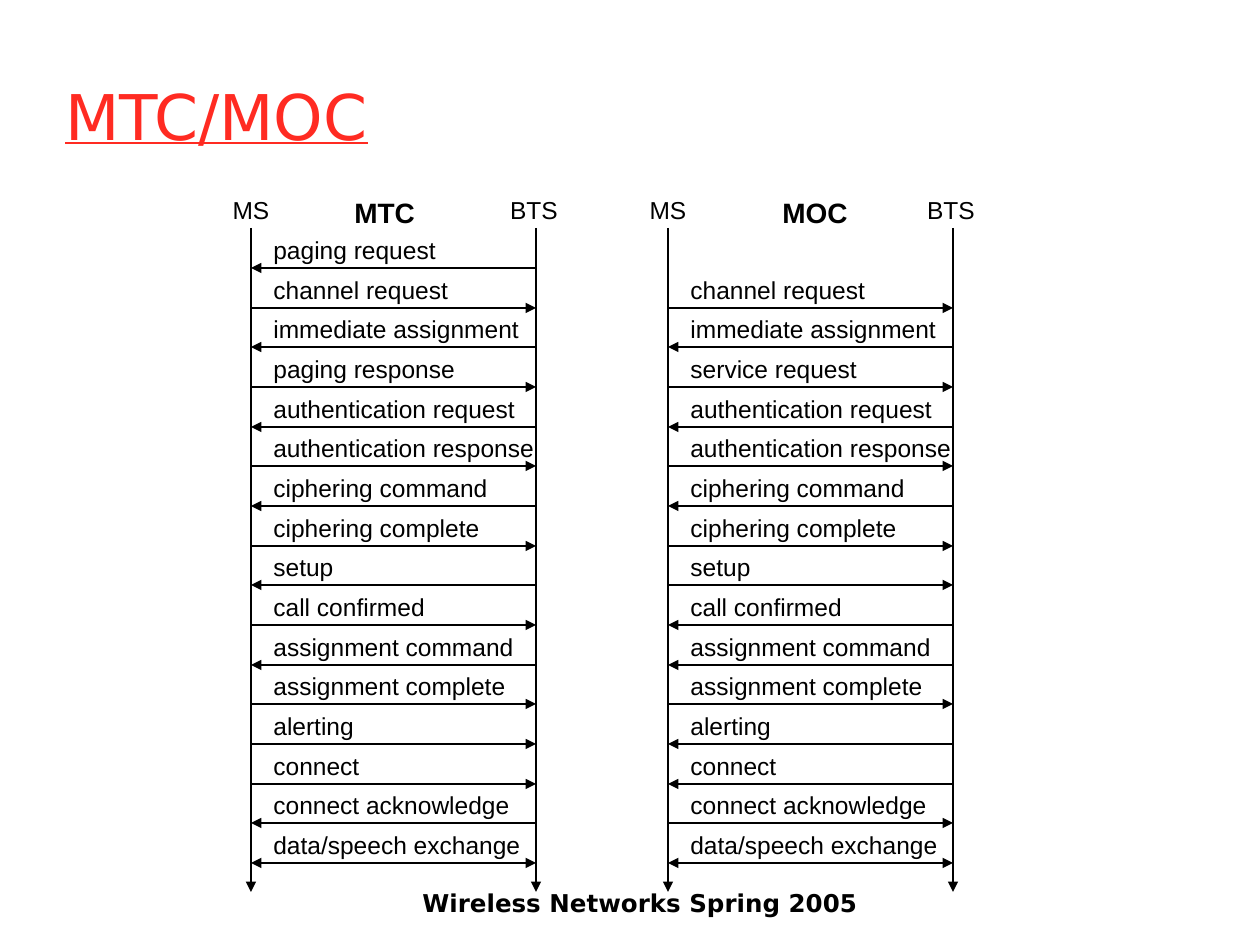
import pptx
import pptx.util
import pptx.dml.color
import pptx.enum.shapes
import pptx.enum.text
import pptx.oxml.ns
from lxml import etree

SCALE = 914400 / 126
BLACK = "000000"
LIFELINE_TOP, LIFELINE_BOTTOM = 228, 892
LIFELINE_GAP = 285
FIRST_ARROW, LAST_ARROW = 268, 863
LABEL_WIDTHS = {
    "paging request": 190,
    "channel request": 202,
    "immediate assignment": 273,
    "paging response": 209,
    "service request": 194,
    "authentication request": 269,
    "authentication response": 288,
    "ciphering command": 242,
    "ciphering complete": 233,
    "setup": 87,
    "call confirmed": 179,
    "assignment command": 268,
    "assignment complete": 259,
    "alerting": 108,
    "connect": 113,
    "connect acknowledge": 264,
    "data/speech exchange": 275,
}
MTC_MESSAGES = [
    ("paging request", "<"),
    ("channel request", ">"),
    ("immediate assignment", "<"),
    ("paging response", ">"),
    ("authentication request", "<"),
    ("authentication response", ">"),
    ("ciphering command", "<"),
    ("ciphering complete", ">"),
    ("setup", "<"),
    ("call confirmed", ">"),
    ("assignment command", "<"),
    ("assignment complete", ">"),
    ("alerting", ">"),
    ("connect", ">"),
    ("connect acknowledge", "<"),
    ("data/speech exchange", "<>"),
]
MOC_CHANGES = {
    "paging request": None,
    "paging response": ("service request", ">"),
    "setup": ("setup", ">"),
    "call confirmed": ("call confirmed", "<"),
    "alerting": ("alerting", "<"),
    "connect": ("connect", "<"),
    "connect acknowledge": ("connect acknowledge", ">"),
}
MOC_MESSAGES = [MOC_CHANGES.get(message[0], message) for message in MTC_MESSAGES]


def px(length):
    return pptx.util.Emu(round(length * SCALE))


def color(value):
    return pptx.dml.color.RGBColor.from_string(value)


def add_text(page, text, left, top, width, height, *, size=14, font="Arial", fill=BLACK,
             bold=False, underline=False, centered=False, middle=False, wrap=False):
    box = page.shapes.add_textbox(px(left), px(top), px(width), px(height))
    frame = box.text_frame
    frame.word_wrap = wrap
    sizing = pptx.enum.text.MSO_AUTO_SIZE
    frame.auto_size = sizing.NONE if wrap else sizing.SHAPE_TO_FIT_TEXT
    anchor = pptx.enum.text.MSO_ANCHOR
    frame.vertical_anchor = anchor.MIDDLE if middle else anchor.TOP
    para = frame.paragraphs[0]
    align = pptx.enum.text.PP_ALIGN
    para.alignment = align.CENTER if centered else align.LEFT
    span = para.add_run()
    span.text = text
    span.font.name = font
    span.font.size = pptx.util.Pt(size)
    span.font.bold = bold
    span.font.underline = underline
    span.font.color.rgb = color(fill)


def add_arrow(page, start, end, direction=">", weight=0.75):
    arrow = page.shapes.add_connector(
        pptx.enum.shapes.MSO_CONNECTOR.STRAIGHT, *map(px, start + end))
    arrow.line.color.rgb = color(BLACK)
    arrow.line.width = pptx.util.Pt(weight)
    outline = arrow.line._get_or_add_ln()
    for mark, tag in (("<", "a:headEnd"), (">", "a:tailEnd")):
        if mark in direction:
            etree.SubElement(outline, pptx.oxml.ns.qn(tag), type="triangle")
    etree.SubElement(arrow._element.spPr, pptx.oxml.ns.qn("a:effectLst"))


def add_message(page, left, y, label, direction):
    weight = 1.5 if direction == "<>" else 0.75
    add_arrow(page, (left, y), (left + LIFELINE_GAP, y), direction, weight)
    add_text(page, label, left + 10, y - 39, LABEL_WIDTHS[label], 43)


def add_sequence(page, left, heading, heading_left, heading_width, messages):
    right = left + LIFELINE_GAP
    for name, x, name_left, width in (("MS", left, left - 32, 64),
                                      ("BTS", right, right - 39, 74)):
        add_text(page, name, name_left, 189, width, 43, centered=True)
        add_arrow(page, (x, LIFELINE_TOP), (x, LIFELINE_BOTTOM))
    add_text(page, heading, heading_left, 189, heading_width, 47, size=16, bold=True)
    pitch = (LAST_ARROW - FIRST_ARROW) / (len(messages) - 1)
    for row, message in enumerate(messages):
        if message:
            add_message(page, left, round(FIRST_ARROW + row * pitch), *message)


def main():
    deck = pptx.Presentation()
    deck.slide_width = px(1260)
    deck.slide_height = px(945)
    page = deck.slides.add_slide(deck.slide_layouts[6])
    add_text(page, "Wireless Networks Spring 2005", 388, 882, 504, 63,
             font="DejaVu Sans", bold=True, centered=True, wrap=True)
    add_text(page, "MTC/MOC", 53, 52, 1144, 126, size=36, font="DejaVu Sans",
             fill="FF2B22", underline=True, middle=True, wrap=True)
    add_sequence(page, 251, "MTC", 342, 88, MTC_MESSAGES)
    add_sequence(page, 668, "MOC", 770, 92, MOC_MESSAGES)
    deck.save("out.pptx")


if __name__ == "__main__":
    main()
